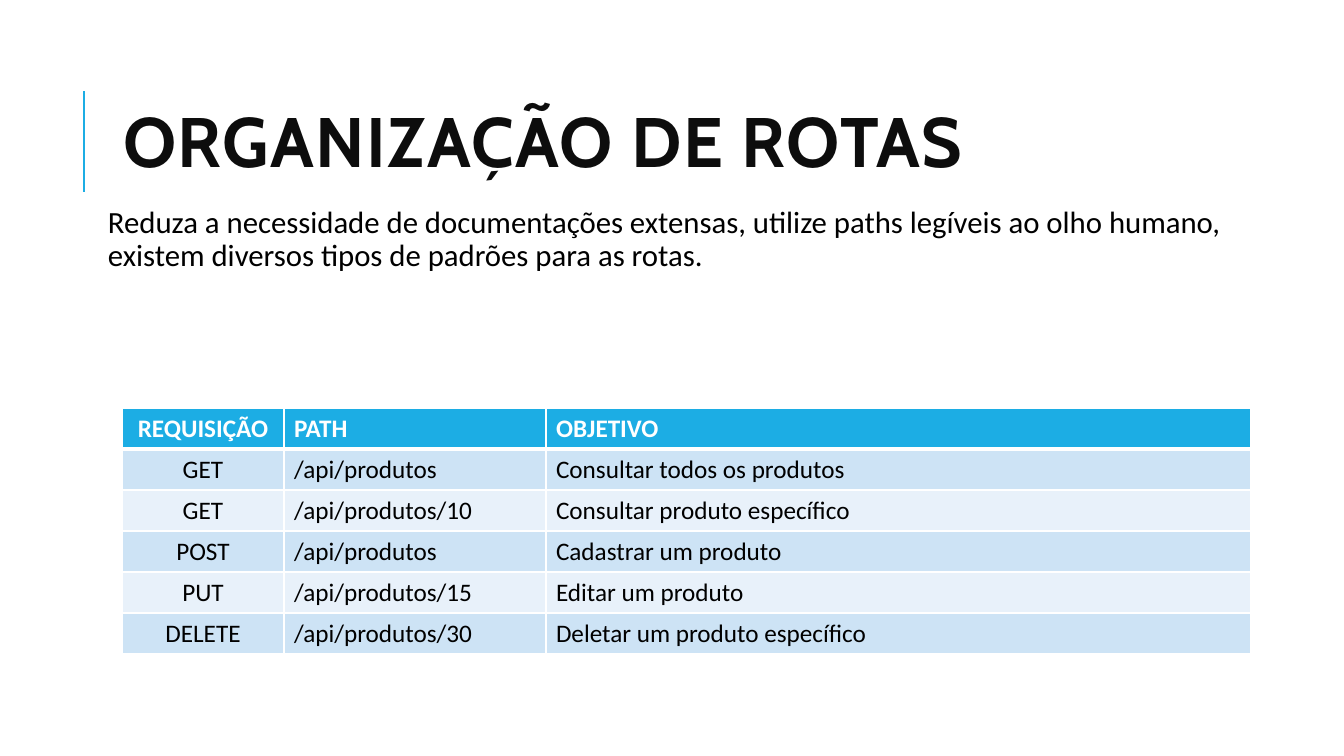
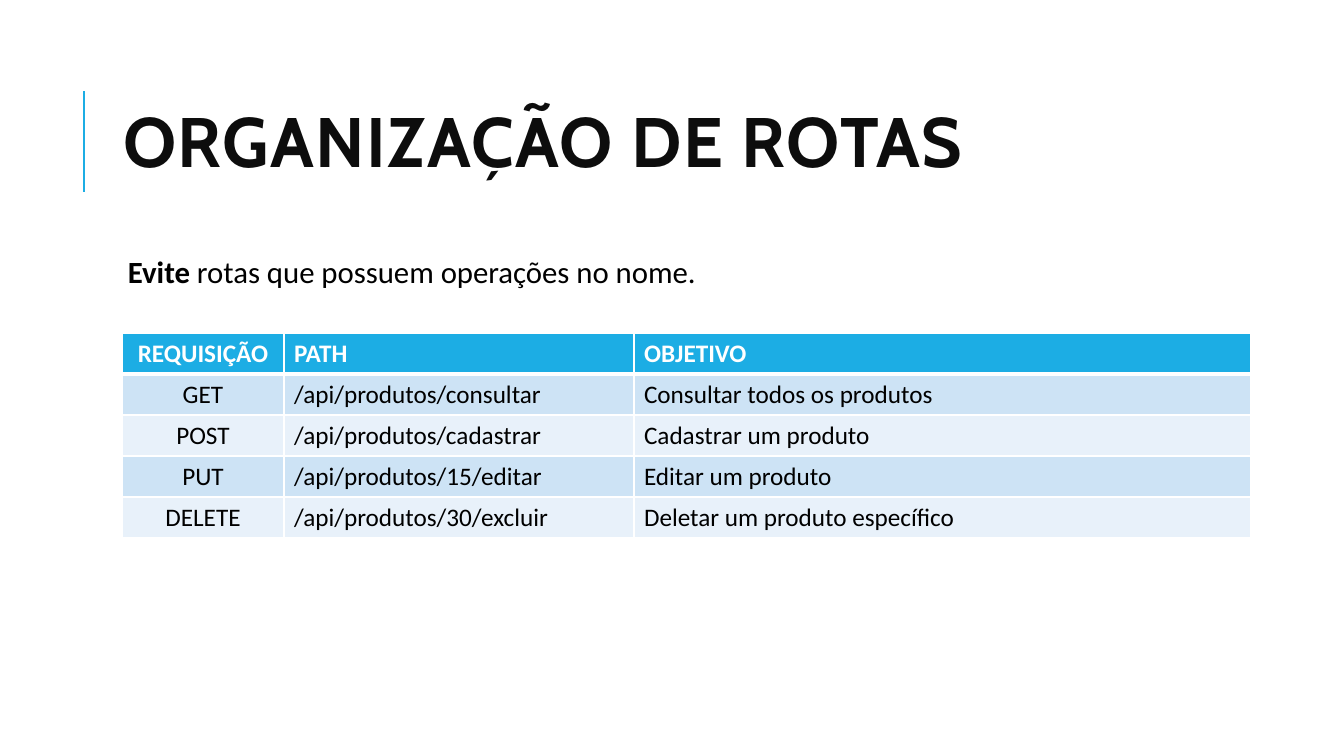
from lxml.etree import SubElement
from pptx import Presentation
from pptx.dml.color import RGBColor
from pptx.enum.shapes import MSO_CONNECTOR
from pptx.enum.text import MSO_ANCHOR, MSO_AUTO_SIZE, PP_ALIGN
from pptx.oxml.ns import qn
from pptx.util import Emu, Pt

SCALE = 9071.43  # EMU in one pixel
COLORS = {"accent": "1CADE4", "title": "0D0D0D", "text": "000000",
          "white": "FFFFFF", "odd": "CDE3F5", "even": "E8F1FA"}
HEAD, BODY = "Cabin", "Calibri"
TITLE = "ORGANIZAÇÃO DE ROTAS"
HEADER = ("REQUISIÇÃO", "PATH", "OBJETIVO")
LEFT, ROW = 122, 41


def px(*nums):
    """Turn pixels into EMU."""
    return [Emu(round(num * SCALE)) for num in nums]


def color(name):
    """Look up a named colour."""
    return RGBColor.from_string(COLORS[name])


def style(para, face, size, tone, bold=None):
    """Set the font of a paragraph."""
    font = para.font
    font.name, font.size, font.bold = face, Pt(size), bold
    font.color.rgb = color(tone)


def add_bar(slide):
    """Draw the thin upright line beside the title."""
    bar = slide.shapes.add_connector(MSO_CONNECTOR.STRAIGHT,
                                     *px(84, 192, 84, 91))
    bar.line.color.rgb = color("accent")
    bar.line.width = Pt(1.5)
    SubElement(bar._element.spPr, qn("a:effectLst"))


def set_title(slide, text):
    """Place and format the title placeholder."""
    title = slide.shapes.title
    title.left, title.top, title.width, title.height = px(113, 65, 1072, 165)
    frame = title.text_frame
    frame.text = text
    frame.auto_size = MSO_AUTO_SIZE.NONE
    frame.vertical_anchor = MSO_ANCHOR.MIDDLE
    para = frame.paragraphs[0]
    para.alignment = PP_ALIGN.LEFT
    para.line_spacing = 0.8
    style(para, HEAD, 50, "title", True)
    para.runs[0]._r.get_or_add_rPr().set("spc", "100")


def add_text(slide, box, parts):
    """Add a paragraph made of (text, bold) parts."""
    frame = slide.shapes.add_textbox(*px(*box)).text_frame
    frame.word_wrap = True
    inset, = px(5)
    frame.margin_left = frame.margin_right = inset
    frame.margin_top = frame.margin_bottom = inset
    para = frame.paragraphs[0]
    para.line_spacing = 0.9
    para.space_before, para.space_after = Pt(12), Pt(2)
    para._p.get_or_add_pPr().set("marL", str(px(10)[0]))
    style(para, BODY, 22, "text")
    for text, bold in parts:
        run = para.add_run()
        run.text, run.font.bold = text, bold


def add_edges(cell, row):
    """Draw white cell borders, thick below the header row."""
    props = cell._tc.get_or_add_tcPr()
    top = 3 if row == 1 else 1
    low = 3 if row == 0 else 1
    for tag, width in (("lnL", 1), ("lnR", 1), ("lnT", top), ("lnB", low)):
        line = SubElement(props, qn(f"a:{tag}"), w=str(Pt(width)))
        fill = SubElement(line, qn("a:solidFill"))
        SubElement(fill, qn("a:srgbClr"), val=COLORS["white"])


def add_grid(slide, top, widths, rows):
    """Add the table of routes with a header and banded rows."""
    rows = [HEADER, *rows]
    box = px(LEFT, top, sum(widths), ROW * len(rows))
    table = slide.shapes.add_table(len(rows), len(widths), *box).table
    for col, width in zip(table.columns, px(*widths)):
        col.width = width
    for i, row in enumerate(rows):
        table.rows[i].height, = px(ROW)
        for j, text in enumerate(row):
            cell = table.cell(i, j)
            cell.text = text
            add_edges(cell, i)
            band = "odd" if i % 2 else "even"
            cell.fill.solid()
            cell.fill.fore_color.rgb = color(band if i else "accent")
            para = cell.text_frame.paragraphs[0]
            para.alignment = PP_ALIGN.LEFT if j else PP_ALIGN.CENTER
            style(para, BODY, 18, "text" if i else "white", i == 0)


def add_page(deck, box, parts, top, widths, rows):
    """Build one slide: line, title, text and table."""
    slide = deck.slides.add_slide(deck.slide_layouts[5])
    add_bar(slide)
    set_title(slide, TITLE)
    add_text(slide, box, parts)
    add_grid(slide, top, widths, rows)


def main():
    """Build and save the deck."""
    deck = Presentation()
    deck.slide_width, deck.slide_height = px(1344, 756)
    add_page(deck, (93, 202, 1159, 161),
             [("Reduza a necessidade de documentações extensas, utilize paths "
               "legíveis ao olho humano, existem diversos tipos de padrões "
               "para as rotas.", False)],
             408, (162, 262, 705),
             [("GET", "/api/produtos", "Consultar todos os produtos"),
              ("GET", "/api/produtos/10", "Consultar produto específico"),
              ("POST", "/api/produtos", "Cadastrar um produto"),
              ("PUT", "/api/produtos/15", "Editar um produto"),
              ("DELETE", "/api/produtos/30", "Deletar um produto específico")])
    add_page(deck, (113, 252, 1072, 444),
             [("Evite", True),
              (" rotas que possuem operações no nome.", False)],
             333, (162, 350, 617),
             [("GET", "/api/produtos/consultar", "Consultar todos os produtos"),
              ("POST", "/api/produtos/cadastrar", "Cadastrar um produto"),
              ("PUT", "/api/produtos/15/editar", "Editar um produto"),
              ("DELETE", "/api/produtos/30/excluir",
               "Deletar um produto específico")])
    deck.save("out.pptx")


main()
